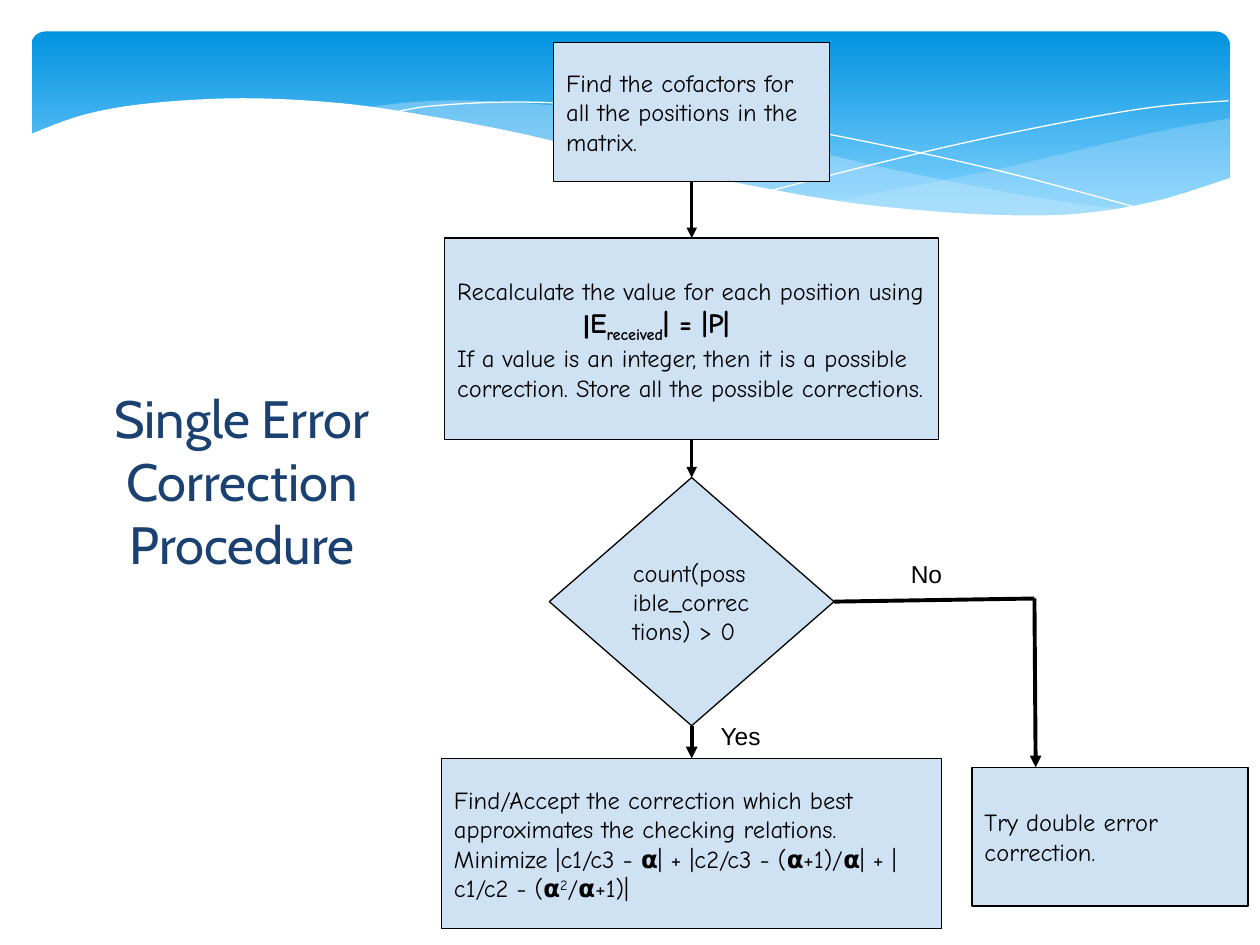
from lxml.etree import SubElement
from pptx import Presentation
from pptx.dml.color import RGBColor
from pptx.enum.shapes import MSO_CONNECTOR, MSO_SHAPE
from pptx.enum.text import MSO_ANCHOR, PP_ALIGN
from pptx.oxml.ns import qn
from pptx.util import Inches, Pt

THEME = {
    "box": "CFE2F3", "ink": "000000", "title": "1A4171", "paper": "FFFFFF",
    "sky": [("0293E0", 0), ("81D2FE", 0.9)], "mist": "C6E7FC",
    "font": "Comic Neue", "title_font": "Cabin", "label_font": "Arial",
    "body": 14, "formula": 16, "heading": 30,
    "outline": 0.75, "arrow": 2, "thick": 2.25,
}
W, H = 10, 7.5
AXIS = 5.49  # centre line of the main flow
FORMULA = {"size": Pt(THEME["formula"]), "bold": True}

# Paragraphs are (first-line indent, runs); a run is (text, font values, baseline %)
STEPS = {
    "cofactors": (MSO_SHAPE.RECTANGLE, AXIS, 0.34, 2.19, 1.1, [
        (0, [("Find the cofactors for all the positions in the matrix.", {}, 0)])]),
    "recalculate": (MSO_SHAPE.RECTANGLE, AXIS, 1.89, 3.92, 1.6, [
        (0, [("Recalculate the value for each position using", {}, 0)]),
        (1, [("|", {"bold": True, "name": THEME["label_font"]}, 0), ("E", FORMULA, 0),
             ("received", FORMULA, -25), ("| = |P|", FORMULA, 0)]),
        (0, [("If a value is an integer, then it is a possible correction. "
              "Store all the possible corrections.", {}, 0)])]),
    "count": (MSO_SHAPE.DIAMOND, AXIS, 3.79, 2.26, 1.97, [
        (0, [("count(possible_corrections) > 0", {}, 0)])]),
    "accept": (MSO_SHAPE.RECTANGLE, AXIS, 6.02, 3.97, 1.35, [
        (0, [("Find/Accept the correction which best approximates "
              "the checking relations.", {}, 0)]),
        (0, [("Minimize |c1/c3 - 𝝰| + |c2/c3 - (𝝰+1)/𝝰| + |c1/c2 - (𝝰", {}, 0),
             ("2", {}, 30), ("/𝝰+1)|", {}, 0)])]),
    "double": (MSO_SHAPE.RECTANGLE, 8.81, 6.09, 2.19, 1.1, [
        (0, [("Try double error correction.", {}, 0)])]),
}
FLOW = [("cofactors", "recalculate", THEME["arrow"]),
        ("recalculate", "count", THEME["arrow"]),
        ("count", "accept", THEME["thick"])]
LABELS = [("Yes", 5.62, 5.62), ("No", 7.13, 4.34)]
ELBOW, DOUBLE_ENTRY = (8.21, 4.75), (8.22, 6.09)

# Each wave is (edges, opacity %); an edge is a list of knots on a smooth curve
BANDS = [
    ([[(9.76, 0.94), (9.21, 1.04), (8.61, 1.18), (7.79, 1.37), (6.61, 1.6)],
      [(6.61, 1.6), (7.19, 1.67), (7.69, 1.71), (8.24, 1.72), (8.72, 1.69),
       (9.21, 1.6), (9.76, 1.41)]], 29),
    ([[(8.93, 1.67), (8.07, 1.54), (7.06, 1.34), (6.29, 1.16), (5.41, 0.97),
       (4.65, 0.86), (3.8, 0.8), (3.28, 0.81), (2.86, 0.86)],
      [(2.86, 0.86), (3.62, 0.97), (4.49, 1.16), (5.3, 1.35), (6.18, 1.53),
       (6.95, 1.65), (7.61, 1.71), (8.18, 1.73), (8.93, 1.67)]], 40),
]
STRANDS = [
    [(3.09, 0.9), (3.44, 0.84), (4.16, 0.81), (5.1, 0.86), (6.08, 0.98),
     (6.95, 1.14), (7.95, 1.36), (9.07, 1.66)],
    [(6.13, 1.51), (6.95, 1.3), (7.76, 1.11), (8.66, 0.93), (9.24, 0.84), (9.75, 0.8)],
]
CREST = ([[(9.77, 1.41), (9.2, 1.59), (8.63, 1.69), (8.09, 1.71), (7.44, 1.68),
           (6.68, 1.6), (5.79, 1.44), (5.03, 1.28), (4.18, 1.07), (3.4, 0.92),
           (2.71, 0.82), (1.93, 0.78), (1.19, 0.82), (0.67, 0.91), (0.23, 1.07)],
          [(0.23, 2.24), (9.77, 2.24)]], 100)


def rgb(key):
    return RGBColor.from_string(THEME[key])


def smooth(knots, steps=6):
    """Points of a Catmull-Rom curve through the knots."""
    ends = [knots[0], *knots, knots[-1]]
    points = [knots[0]]
    for a, b, c, d in zip(ends, ends[1:], ends[2:], ends[3:]):
        for t in (i / steps for i in range(1, steps + 1)):
            points.append(tuple(
                (2 * q + (r - p) * t + (2 * p - 5 * q + 4 * r - s) * t ** 2
                 + (3 * q - p - 3 * r + s) * t ** 3) / 2
                for p, q, r, s in zip(a, b, c, d)))
    return points


def add_wave(shapes, edges, closed=True):
    first, *rest = [(Inches(x), Inches(y)) for edge in edges for x, y in smooth(edge)]
    builder = shapes.build_freeform(*first)
    builder.add_line_segments(rest, close=closed)
    s = builder.convert_to_shape()
    s.shadow.inherit = False
    return s


def fill_wave(s, key, opacity):
    s.fill.solid()
    s.fill.fore_color.rgb = rgb(key)
    s.line.fill.background()
    color = s.fill._xPr.find(qn("a:solidFill"))[0]
    SubElement(color, qn("a:alpha"), val=str(opacity * 1000))


def outline(s, key, width):
    s.line.color.rgb = rgb(key)
    s.line.width = Pt(width)


def add_header(shapes):
    s = shapes.add_shape(MSO_SHAPE.ROUNDED_RECTANGLE, Inches(0.25), Inches(0.25),
                         Inches(W - 0.49), Inches(1.56))
    s.adjustments[0] = 0.07
    s.shadow.inherit = False
    s.line.fill.background()
    s.fill.gradient()
    s.fill.gradient_angle = 270
    for stop, (color, position) in zip(s.fill.gradient_stops, THEME["sky"]):
        stop.color.rgb = RGBColor.from_string(color)
        stop.position = position
    for edges, opacity in BANDS:
        fill_wave(add_wave(shapes, edges), "mist", opacity)
    for knots in STRANDS:
        s = add_wave(shapes, [knots], closed=False)
        s.fill.background()
        outline(s, "paper", THEME["outline"])
    fill_wave(add_wave(shapes, CREST[0]), "paper", CREST[1])


def write(s, paragraphs, font, size, color="ink", align=PP_ALIGN.LEFT,
          anchor=MSO_ANCHOR.MIDDLE, inset=0.1):
    tf = s.text_frame
    frame = dict.fromkeys(("margin_left", "margin_top", "margin_right", "margin_bottom"),
                          Inches(inset))
    for name, value in {**frame, "word_wrap": True, "vertical_anchor": anchor}.items():
        setattr(tf, name, value)
    for i, (indent, runs) in enumerate(paragraphs):
        p = tf.add_paragraph() if i else tf.paragraphs[0]
        p.alignment = align
        if indent:
            p._p.get_or_add_pPr().set("indent", str(Inches(indent)))
        for text, values, baseline in runs:
            r = p.add_run()
            r.text = text
            for name, value in {"name": THEME[font], "size": Pt(THEME[size]), **values}.items():
                setattr(r.font, name, value)
            r.font.color.rgb = rgb(color)
            if baseline:
                r._r.get_or_add_rPr().set("baseline", str(baseline * 1000))


def add_text(shapes, text, x, y, w, h, **style):
    s = shapes.add_textbox(*map(Inches, (x, y, w, h)))
    write(s, [(0, [(text, {}, 0)])], **style)


def add_step(shapes, kind, centre, top, w, h, paragraphs):
    s = shapes.add_shape(kind, *map(Inches, (centre - w / 2, top, w, h)))
    s.shadow.inherit = False
    s.fill.solid()
    s.fill.fore_color.rgb = rgb("box")
    outline(s, "ink", THEME["outline"])
    write(s, paragraphs, "font", "body")
    return s


def add_line(shapes, start, end, width, arrow=True):
    s = shapes.add_connector(MSO_CONNECTOR.STRAIGHT, *map(Inches, (*start, *end)))
    outline(s, "ink", width)
    if arrow:
        SubElement(s.line._get_or_add_ln(), qn("a:tailEnd"), type="triangle")
    SubElement(s._element.spPr, qn("a:effectLst"))
    return s


def main():
    prs = Presentation()
    prs.slide_width, prs.slide_height = Inches(W), Inches(H)
    shapes = prs.slides.add_slide(prs.slide_layouts[6]).shapes
    add_header(shapes)
    steps = {name: add_step(shapes, *step) for name, step in STEPS.items()}
    for source, target, width in FLOW:
        s = add_line(shapes, (0, 0), (1, 1), width)
        s.begin_connect(steps[source], 2)
        s.end_connect(steps[target], 0)
    add_line(shapes, (0, 0), ELBOW, THEME["thick"], arrow=False).begin_connect(steps["count"], 3)
    add_line(shapes, ELBOW, DOUBLE_ENTRY, THEME["thick"])
    for text, x, y in LABELS:
        add_text(shapes, text, x, y, 0.59, 0.42, font="label_font", size="body",
                 anchor=MSO_ANCHOR.TOP)
    add_text(shapes, "Single Error Correction Procedure", 0.55, 0.39, 2.74, 6.85,
             font="title_font", size="heading", color="title",
             align=PP_ALIGN.CENTER, inset=0.05)
    prs.save("out.pptx")


if __name__ == "__main__":
    main()
